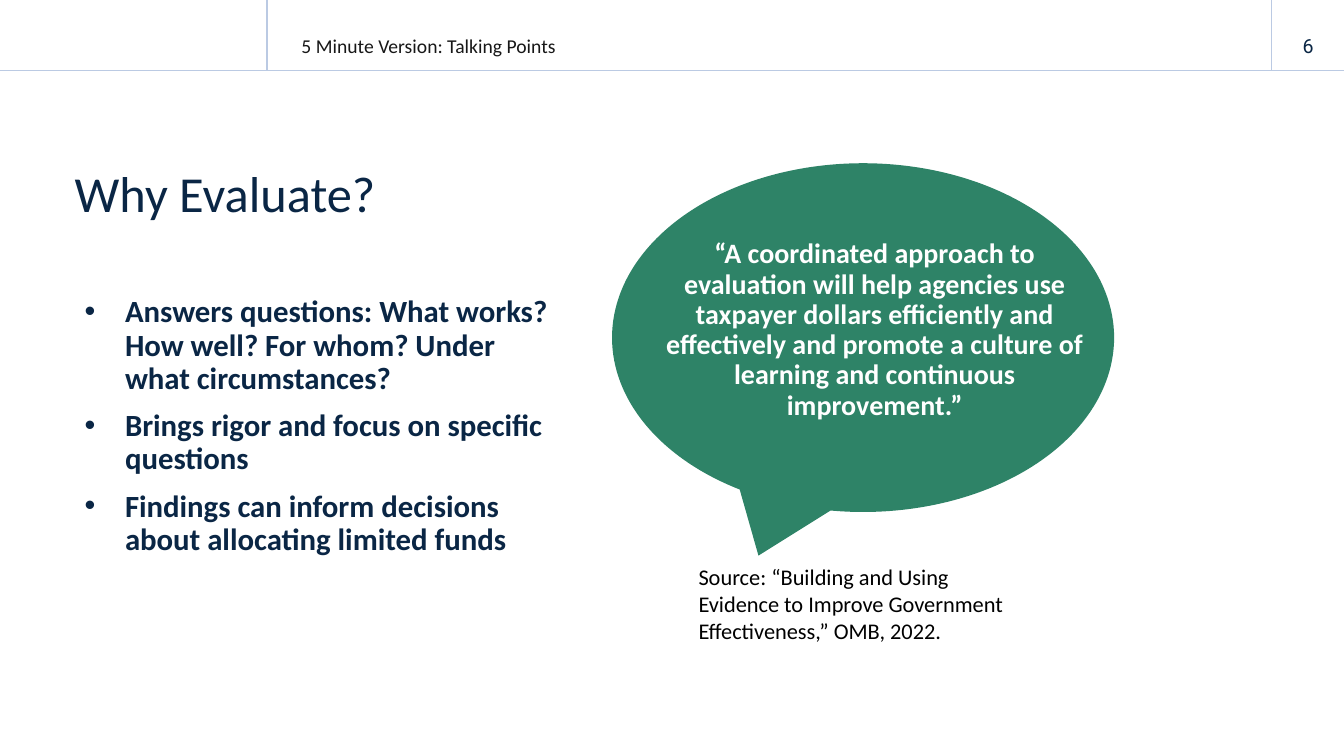
import dataclasses

import pptx
import pptx.dml.color
import pptx.enum.shapes
import pptx.enum.text
import pptx.oxml.xmlchemy
import pptx.slide
import pptx.util

NAVY = "0A2645"
WHITE = "FFFFFF"
GREEN = "2E8367"
RULE_BLUE = "BBCAE3"
HEADER_Y = 0.7
PAGE_X = 12.61
ALIGN = pptx.enum.text.PP_ALIGN
ANCHOR = pptx.enum.text.MSO_ANCHOR


@dataclasses.dataclass(frozen=True)
class TextBlock:
    box: tuple[float, float, float, float]
    paragraphs: tuple[str, ...]
    size: float
    color: str = NAVY
    font: str = "Calibri"
    bold: bool = False
    align: ALIGN = ALIGN.LEFT
    anchor: ANCHOR = ANCHOR.TOP
    insets: tuple[float, float, float, float] = (0, 0.05, 0.1, 0.05)
    line_spacing: float = 1.0
    space_before: float = 0
    left_margin: float = 0
    bulleted: bool = False
    fill: str | None = None


@dataclasses.dataclass(frozen=True)
class Rule:
    start: tuple[float, float]
    end: tuple[float, float]


HEADER_RULES = (
    Rule((0, HEADER_Y), (13.33, HEADER_Y)),
    Rule((2.65, 0), (2.65, HEADER_Y)),
    Rule((PAGE_X, 0), (PAGE_X, HEADER_Y)),
)

SECTION = TextBlock((2.99, 0.12, 2.87, 0.45), ("5 Minute Version: Talking Points",), 14,
                    color="171717", anchor=ANCHOR.BOTTOM, insets=(0, 0.05, 0.1, 0))
TITLE = TextBlock((0.74, 1.15, 4.98, 1.52), ("Why Evaluate?",), 36,
                  anchor=ANCHOR.MIDDLE, fill=WHITE)
REASONS = TextBlock(
    (0.74, 2.89, 4.98, 3.77),
    (
        "Answers questions: What works? How well? For whom? Under what circumstances?",
        "Brings rigor and focus on specific questions",
        "Findings can inform decisions about allocating limited funds",
    ),
    22, bold=True, line_spacing=0.9, space_before=10, left_margin=0.5, bulleted=True)
QUOTE = TextBlock(
    (6.36, 2.33, 4.63, 3.77),
    ("“A coordinated approach to evaluation will help agencies use taxpayer dollars "
     "efficiently and effectively and promote a culture of learning and continuous "
     "improvement.”",),
    20, color=WHITE, bold=True, align=ALIGN.CENTER, line_spacing=0.9, space_before=10,
    left_margin=0.1)
SOURCE = TextBlock(
    (6.83, 5.54, 3.46, 0.91),
    ("Source: “Building and Using Evidence to Improve Government Effectiveness,” OMB, 2022.",),
    16, color="000000", insets=(0.1, 0.05, 0.1, 0.05))
PAGE_NUMBER = TextBlock((PAGE_X, 0.25, 0.73, 0.4), ("6",), 14, font="Roboto",
                        align=ALIGN.CENTER, anchor=ANCHOR.MIDDLE,
                        insets=(0.1, 0.05, 0.1, 0.05))


def rgb(color: str) -> pptx.dml.color.RGBColor:
    return pptx.dml.color.RGBColor.from_string(color)


def inches(values: tuple[float, ...]) -> list[pptx.util.Length]:
    return [pptx.util.Inches(value) for value in values]


def draw_rule(slide: pptx.slide.Slide, rule: Rule) -> None:
    line = slide.shapes.add_connector(
        pptx.enum.shapes.MSO_CONNECTOR.STRAIGHT, *inches(rule.start + rule.end))
    line.line.color.rgb = rgb(RULE_BLUE)
    line.line.width = pptx.util.Pt(1)
    line._element.spPr.append(pptx.oxml.xmlchemy.OxmlElement("a:effectLst"))


def set_margin(paragraph, left_margin: float, bulleted: bool) -> None:
    """Indent a paragraph, hanging a bullet in the margin if it has one."""
    properties = paragraph._p.get_or_add_pPr()
    properties.set("marL", str(pptx.util.Inches(left_margin)))
    properties.set("indent", str(pptx.util.Inches(-0.4 if bulleted else 0)))
    if bulleted:
        bullet_color, swatch, bullet_font, bullet = (
            pptx.oxml.xmlchemy.OxmlElement(tag)
            for tag in ("a:buClr", "a:srgbClr", "a:buFont", "a:buChar"))
        swatch.set("val", NAVY)
        bullet_color.append(swatch)
        bullet_font.set("typeface", "Arial")
        bullet.set("char", "•")
        properties.extend((bullet_color, bullet_font, bullet))


def draw_text(slide: pptx.slide.Slide, block: TextBlock) -> None:
    box = slide.shapes.add_textbox(*inches(block.box))
    if block.fill:
        box.fill.solid()
        box.fill.fore_color.rgb = rgb(block.fill)
    frame = box.text_frame
    frame.word_wrap = True
    frame.vertical_anchor = block.anchor
    (frame.margin_left, frame.margin_top,
     frame.margin_right, frame.margin_bottom) = inches(block.insets)
    for index, text in enumerate(block.paragraphs):
        paragraph = frame.add_paragraph() if index else frame.paragraphs[0]
        paragraph.alignment = block.align
        paragraph.line_spacing = block.line_spacing
        paragraph.space_before = pptx.util.Pt(block.space_before)
        set_margin(paragraph, block.left_margin, block.bulleted)
        run = paragraph.add_run()
        run.text = text
        run.font.name = block.font
        run.font.size = pptx.util.Pt(block.size)
        run.font.bold = block.bold
        run.font.color.rgb = rgb(block.color)


def draw_speech_bubble(slide: pptx.slide.Slide) -> None:
    bubble = slide.shapes.add_shape(
        pptx.enum.shapes.MSO_SHAPE.OVAL_CALLOUT, *inches((6.07, 1.62, 4.98, 3.46)))
    bubble.shadow.inherit = False
    bubble.fill.solid()
    bubble.fill.fore_color.rgb = rgb(GREEN)
    bubble.line.fill.background()


def main() -> None:
    deck = pptx.Presentation()
    deck.slide_width = pptx.util.Inches(13.33)
    deck.slide_height = pptx.util.Inches(7.5)
    slide = deck.slides.add_slide(deck.slide_layouts[6])
    for rule in HEADER_RULES:
        draw_rule(slide, rule)
    for block in (SECTION, TITLE, REASONS):
        draw_text(slide, block)
    draw_speech_bubble(slide)
    for block in (QUOTE, SOURCE, PAGE_NUMBER):
        draw_text(slide, block)
    deck.save("out.pptx")


if __name__ == "__main__":
    main()
